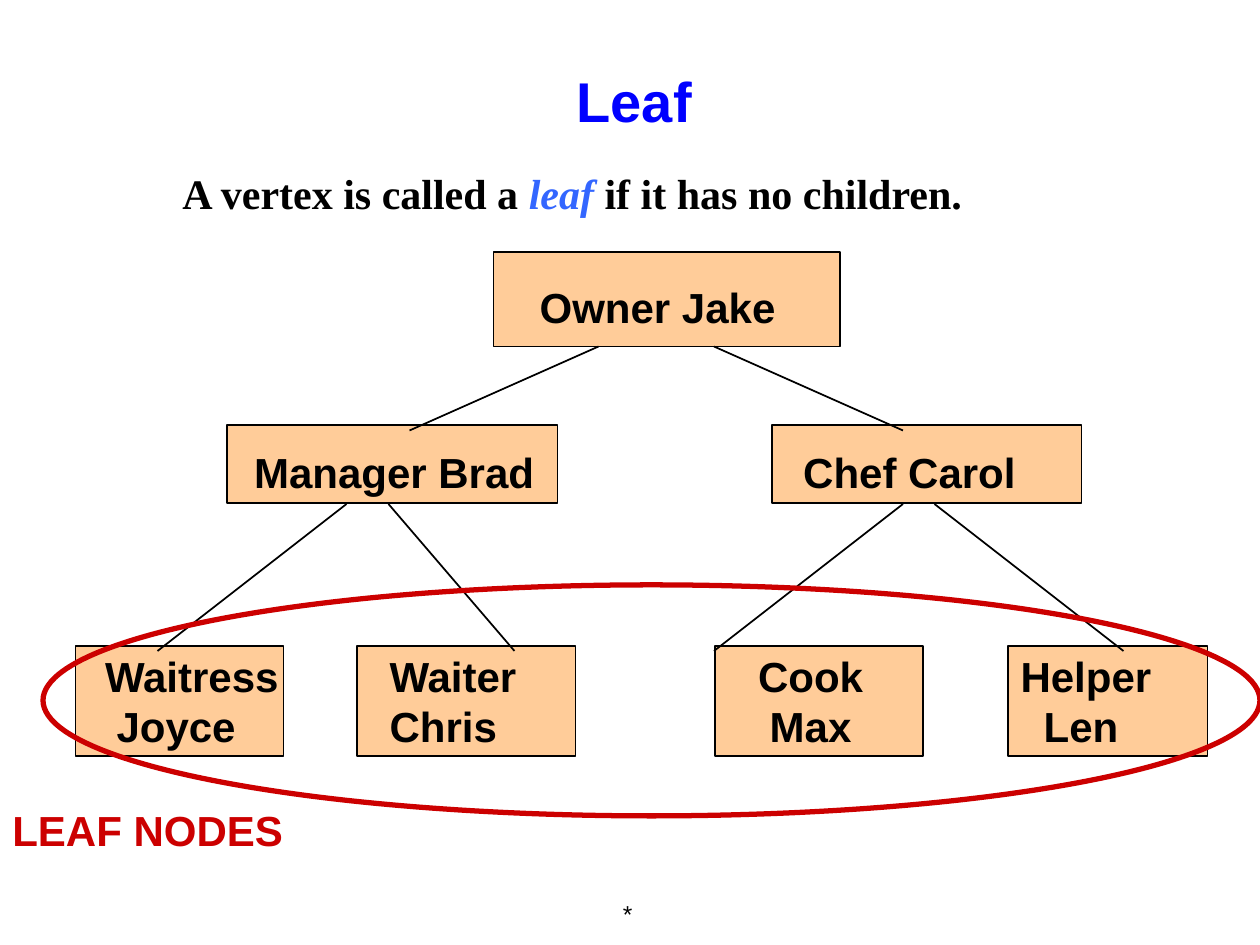
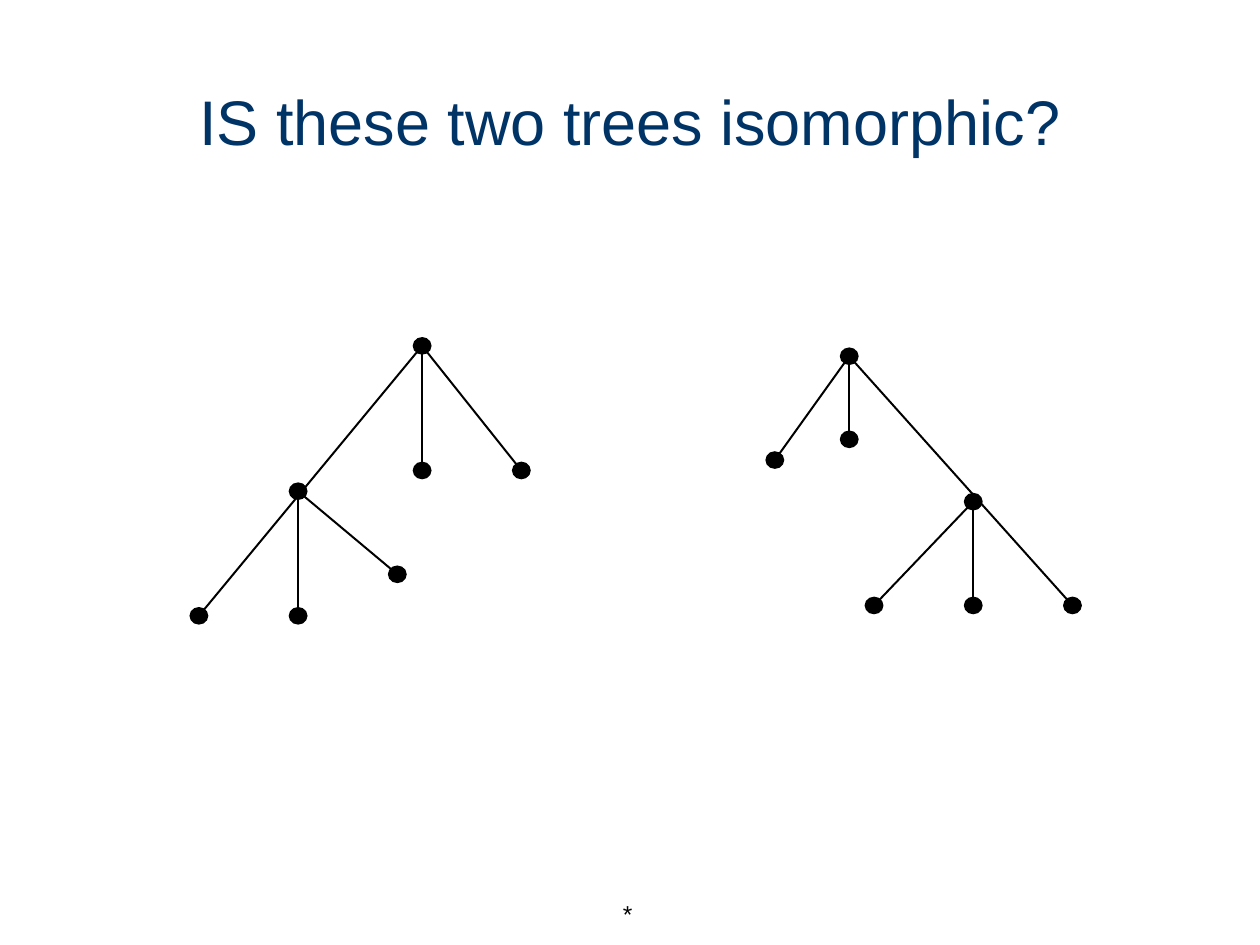
from lxml import etree
from pptx import Presentation
from pptx.dml.color import RGBColor
from pptx.enum.shapes import MSO_CONNECTOR, MSO_SHAPE
from pptx.enum.text import MSO_ANCHOR, PP_ALIGN
from pptx.oxml.ns import qn
from pptx.util import Inches, Pt

LEFT, CENTER, RIGHT = PP_ALIGN.LEFT, PP_ALIGN.CENTER, PP_ALIGN.RIGHT
TOP, MIDDLE, BOTTOM = MSO_ANCHOR.TOP, MSO_ANCHOR.MIDDLE, MSO_ANCHOR.BOTTOM
RECT, OVAL = MSO_SHAPE.RECTANGLE, MSO_SHAPE.OVAL
STRAIGHT = MSO_CONNECTOR.STRAIGHT

COLORS = {name: RGBColor.from_string(value) for name, value in {
    "ink": "000000",
    "node": "FFCC99",
    "leaf": "CC0000",
    "title": "0000FF",
    "term": "3366FF",
    "question": "003366",
}.items()}

prs = Presentation()
prs.slide_width, prs.slide_height = Inches(10), Inches(7.5)
W, H = prs.slide_width, prs.slide_height
COL, ROW = W / 120, H / 90


def add_text(s, box, runs, size, align=LEFT, anchor=TOP, bold=False, font="Arial"):
    x, y, w, h = box
    sp = s.shapes.add_textbox(int(x * COL), int(y * ROW), int(w * COL), int(h * ROW))
    tf = sp.text_frame
    tf.word_wrap = True
    tf.vertical_anchor = anchor
    p = tf.paragraphs[0]
    p.alignment = align
    p.font.name, p.font.size, p.font.bold = font, Pt(size), bold
    for text, color, italic in runs:
        r = p.add_run()
        r.text = text
        r.font.color.rgb = COLORS[color]
        if italic:
            r.font.italic = True


def add_line(s, x1, y1, x2, y2, weight):
    cx = s.shapes.add_connector(STRAIGHT, int(x1), int(y1), int(x2), int(y2))
    cx.line.color.rgb = COLORS["ink"]
    cx.line.width = Pt(weight)
    etree.SubElement(cx._element.spPr, qn("a:effectLst"))


slides = [prs.slides.add_slide(prs.slide_layouts[6]) for _ in range(2)]
for s in slides:
    add_text(s, (53.4, 84, 8, 6), [("*", "ink", False)], 14, RIGHT, MIDDLE)

s = slides[0]
nodes = [
    (47, 24, 33, 9, 1.5, [("Owner Jake", 4.4)]),
    (21.6, 40.5, 31.5, 7.4, 1.5, [("Manager Brad", 2.6)]),
    (73.5, 40.5, 29.5, 7.4, 1.5, [("Chef Carol", 3)]),
    (7.2, 61.5, 19.8, 10.5, 0, [("Waitress", 2.8), ("Joyce", 3.9)]),
    (34, 61.5, 20.8, 10.5, 0, [("Waiter", 3.1), ("Chris", 3.1)]),
    (68.1, 61.5, 19.8, 10.5, 0, [("Cook", 4.1), ("Max", 5.2)]),
    (96, 61.5, 19, 10.5, 0, [("Helper", 1.2), ("Len", 3.4)]),
]
for x, y, w, h, drop, lines in nodes:
    sp = s.shapes.add_shape(RECT, int(x * COL), int(y * ROW), int(w * COL), int(h * ROW))
    sp.shadow.inherit = False
    sp.fill.solid()
    sp.fill.fore_color.rgb = COLORS["node"]
    sp.line.color.rgb = COLORS["ink"]
    sp.line.width = Pt(1)
    tf = sp.text_frame
    tf.word_wrap = True
    tf.vertical_anchor = MIDDLE
    tf.margin_left = tf.margin_right = tf.margin_bottom = 0
    tf.margin_top = int(drop * ROW)
    for i, (text, indent) in enumerate(lines):
        p = tf.add_paragraph() if i else tf.paragraphs[0]
        p.text = text
        p.alignment = LEFT
        p._p.get_or_add_pPr().set("marL", str(int(indent * COL)))
        p.font.name, p.font.size, p.font.bold = "Arial", Pt(24), True
        p.font.color.rgb = COLORS["ink"]

branches = [
    (57, 33, 39, 41), (68, 33, 86, 41),
    (33, 48, 15, 62), (86, 48, 68, 62),
    (37, 48, 49, 62), (89, 48, 107, 62),
]
for x1, y1, x2, y2 in branches:
    add_line(s, x1 * COL, y1 * ROW, x2 * COL, y2 * ROW, 1)

add_text(s, (0, 76, 30, 6), [("LEAF NODES", "leaf", False)], 24, bold=True)
sp = s.shapes.add_shape(OVAL, int(4.1 * COL), int(55.7 * ROW), int(115.9 * COL), int(22 * ROW))
sp.shadow.inherit = False
sp.fill.background()
sp.line.color.rgb = COLORS["leaf"]
sp.line.width = Pt(3)

add_text(s, (5, 4.3, 110.8, 9), [("Leaf", "title", False)], 32, CENTER, BOTTOM, True)
definition = [
    ("A vertex is called a ", "ink", False),
    ("leaf", "term", True),
    (" if it has no children.", "ink", False),
]
add_text(s, (16.2, 15.4, 93.8, 7), definition, 24, bold=True, font="Times New Roman")

s = slides[1]
add_text(s, (6, 7.3, 108, 9.2), [("IS these two trees isomorphic?", "question", False)], 36, CENTER)

STEP_X, STEP_Y = W / 50.8, H / 45.5
DOT_W, DOT_H = Inches(0.15), Inches(0.14)
trees = [
    (0.335 * W, 0.366 * H, (-5, 7), [
        (0, 0, -9, 13), (0, 0, 0, 6), (0, 0, 4, 6),
        (-5, 7, -5, 13), (-5, 7, -1, 11),
    ]),
    (0.674 * W, 0.377 * H, (5, 7), [
        (0, 0, -3, 5), (0, 0, 0, 4), (0, 0, 9, 12),
        (5, 7, 1, 12), (5, 7, 5, 12),
    ]),
]
for root_x, root_y, inner, edges in trees:
    for x1, y1, x2, y2 in edges:
        add_line(s, root_x + x1 * STEP_X, root_y + y1 * STEP_Y,
                 root_x + x2 * STEP_X, root_y + y2 * STEP_Y, 1.13)
    for x, y in [(0, 0), inner] + [edge[2:] for edge in edges]:
        sp = s.shapes.add_shape(OVAL, int(root_x + x * STEP_X - DOT_W / 2),
                                int(root_y + y * STEP_Y - DOT_H / 2), DOT_W, DOT_H)
        sp.shadow.inherit = False
        sp.fill.solid()
        sp.fill.fore_color.rgb = COLORS["ink"]
        sp.line.fill.background()

prs.save("out.pptx")
